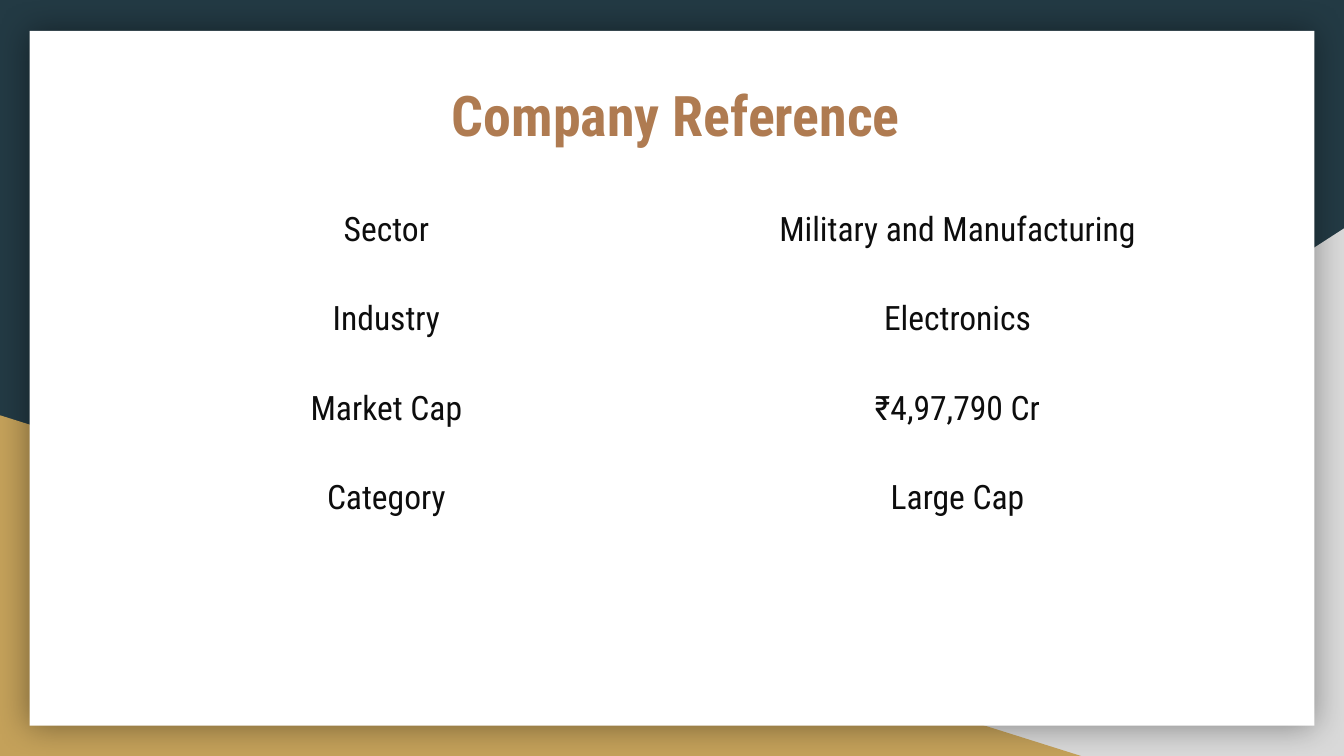
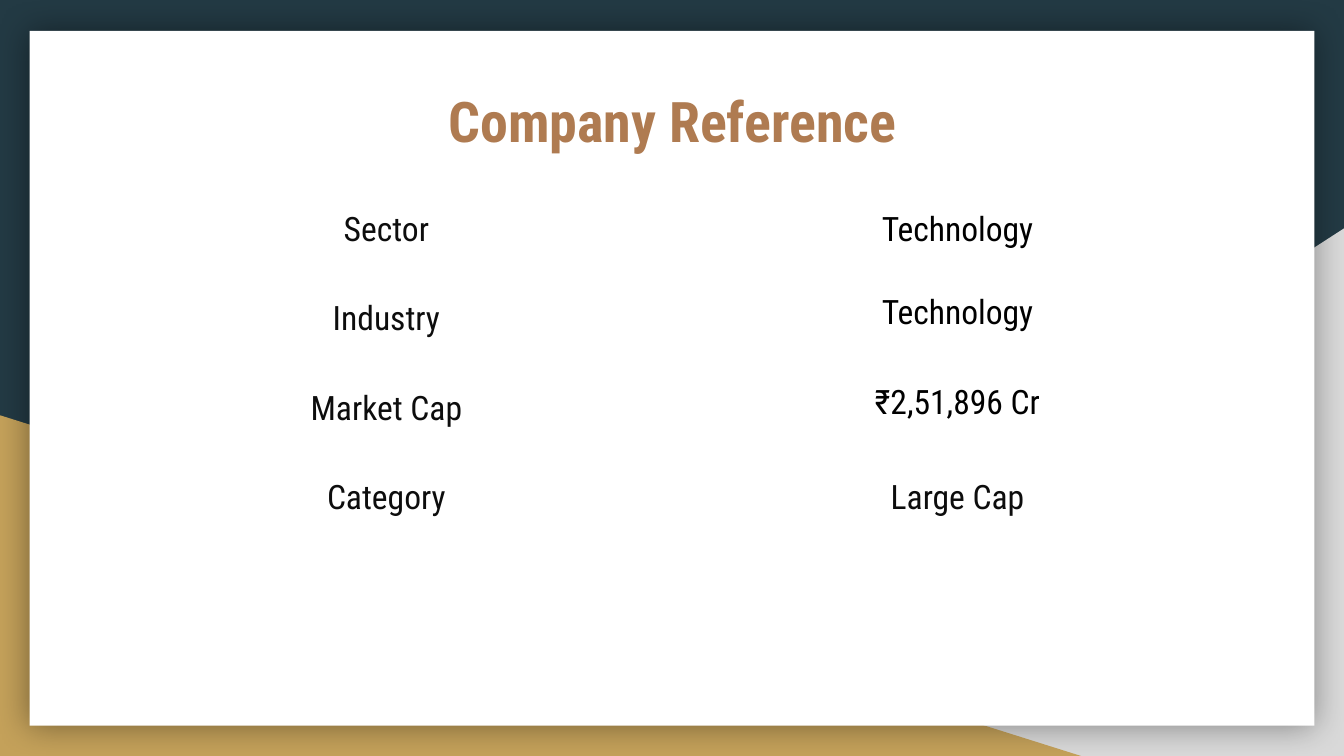
from dataclasses import dataclass

from lxml.etree import SubElement
from pptx import Presentation
from pptx.dml.color import RGBColor
from pptx.enum.shapes import MSO_SHAPE
from pptx.enum.text import MSO_ANCHOR, MSO_AUTO_SIZE, PP_ALIGN
from pptx.oxml.ns import qn
from pptx.util import Inches, Pt


@dataclass(frozen=True)
class Theme:
    navy: str = "233A44"
    grey: str = "D9D9D9"
    gold: str = "C4A15A"
    white: str = "FFFFFF"
    bronze: str = "AF7B51"
    ink: str = "0D0D0D"
    black: str = "000000"
    font: str = "Roboto Condensed"
    title_size: int = 30
    body_size: int = 18
    border_width: int = 3
    shadow_blur: int = 18
    inset: float = 0.1
    line_spacing: float = 1.15


@dataclass(frozen=True)
class Entry:
    label: str = ""
    value: str = ""
    value_color: str = Theme.ink
    value_spacing: float = Theme.line_spacing


THEME = Theme()
SLIDE_WIDTH = 10
SLIDE_HEIGHT = SLIDE_WIDTH * 9 / 16
ROW_HEIGHT = 1.33 / 2
TABLE_BOX = (0.75, 1.42, 8.5, ROW_HEIGHT)  # left, top, width, row height

COMPANIES = [
    {
        "title_box": (0.31, 0.5, 9.44, 1.04),
        "title_anchor": MSO_ANCHOR.TOP,
        "entries": [
            Entry("Sector", "Military and Manufacturing"),
            Entry("Industry", "Electronics"),
            Entry("Market Cap", "₹4,97,790 Cr"),
            Entry("Category", "Large Cap"),
            Entry(),
        ],
    },
    {
        "title_box": (0.35, 0.37, 9.31, 1.04),
        "title_anchor": MSO_ANCHOR.MIDDLE,
        "entries": [
            Entry("Sector", "Technology", THEME.black),
            Entry("Industry", "Technology", THEME.black, 1.0),
            Entry("Market Cap", "₹2,51,896 Cr", THEME.black, 1.0),
            Entry("Category", "Large Cap"),
        ],
    },
]


def rgb(color):
    return RGBColor.from_string(color)


def set_insets(target):
    """Give a text frame or table cell the same margin on all sides."""
    for side in ("left", "top", "right", "bottom"):
        setattr(target, f"margin_{side}", Inches(THEME.inset))


def format_paragraph(paragraph, size, color, bold=False):
    paragraph.alignment = PP_ALIGN.CENTER
    for run in paragraph.runs:
        run.font.name = THEME.font
        run.font.size = Pt(size)
        run.font.bold = bold
        run.font.color.rgb = rgb(color)


def add_panel(slide, kind, box, color):
    shape = slide.shapes.add_shape(kind, *map(Inches, box))
    shape.shadow.inherit = False
    shape.fill.solid()
    shape.fill.fore_color.rgb = rgb(color)
    shape.line.fill.background()
    return shape


def add_soft_shadow(shape):
    effects = shape.element.spPr.find(qn("a:effectLst"))
    shadow = SubElement(effects, qn("a:outerShdw"), blurRad=str(Pt(THEME.shadow_blur)),
                        dist="0", dir="0", algn="ctr", rotWithShape="0")
    color = SubElement(shadow, qn("a:srgbClr"), val=THEME.black)
    SubElement(color, qn("a:alpha"), val="40000")


def decorate_layout(layout, slide):
    """Draw the backdrop on a slide, then move it behind the layout's placeholders."""
    layout.background.fill.solid()
    layout.background.fill.fore_color.rgb = rgb(THEME.navy)
    grey_corner = add_panel(slide, MSO_SHAPE.RIGHT_TRIANGLE, (3.92, 1.7, 6.08, 3.93), THEME.grey)
    grey_corner.element.spPr.find(qn("a:xfrm")).set("flipH", "1")
    gold_corner = add_panel(slide, MSO_SHAPE.RIGHT_TRIANGLE, (0, 3.09, 8.06, 2.54), THEME.gold)
    card = add_panel(slide, MSO_SHAPE.RECTANGLE, (0.22, 0.23, 9.56, 5.17), THEME.white)
    add_soft_shadow(card)
    for index, shape in enumerate((grey_corner, gold_corner, card), start=2):
        layout.shapes.element.insert(index, shape.element)


def set_title(slide, text, box, anchor):
    title = slide.shapes.title
    title.left, title.top, title.width, title.height = map(Inches, box)
    frame = title.text_frame
    frame.text = text
    frame.word_wrap = True
    frame.auto_size = MSO_AUTO_SIZE.NONE
    frame.vertical_anchor = anchor
    set_insets(frame)
    format_paragraph(frame.paragraphs[0], THEME.title_size, THEME.bronze, bold=True)


def set_borders(cell):
    properties = cell._tc.get_or_add_tcPr()
    for edge in ("lnL", "lnR", "lnT", "lnB"):
        line = SubElement(properties, qn(f"a:{edge}"), w=str(Pt(THEME.border_width)))
        fill = SubElement(line, qn("a:solidFill"))
        SubElement(fill, qn("a:srgbClr"), val=THEME.white)


def fill_cell(cell, text, color, spacing):
    set_borders(cell)
    cell.fill.background()
    set_insets(cell)
    cell.vertical_anchor = MSO_ANCHOR.TOP
    if text:
        cell.text_frame.text = text
        paragraph = cell.text_frame.paragraphs[0]
        paragraph.line_spacing = spacing
        format_paragraph(paragraph, THEME.body_size, color)


def add_facts_table(slide, entries, box):
    left, top, width, row_height = map(Inches, box)
    table = slide.shapes.add_table(len(entries), 2, left, top, width,
                                   row_height * len(entries)).table
    table.first_row = table.horz_banding = False
    for row, entry in enumerate(entries):
        table.rows[row].height = row_height
        fill_cell(table.cell(row, 0), entry.label, THEME.ink, THEME.line_spacing)
        fill_cell(table.cell(row, 1), entry.value, entry.value_color, entry.value_spacing)


def main():
    presentation = Presentation()
    presentation.slide_width = Inches(SLIDE_WIDTH)
    presentation.slide_height = Inches(SLIDE_HEIGHT)
    layout = presentation.slide_layouts.get_by_name("Title Only")
    slides = [presentation.slides.add_slide(layout) for _ in COMPANIES]
    decorate_layout(layout, slides[0])
    for slide, company in zip(slides, COMPANIES):
        set_title(slide, "Company Reference", company["title_box"], company["title_anchor"])
        add_facts_table(slide, company["entries"], TABLE_BOX)
    presentation.save("out.pptx")


if __name__ == "__main__":
    main()
